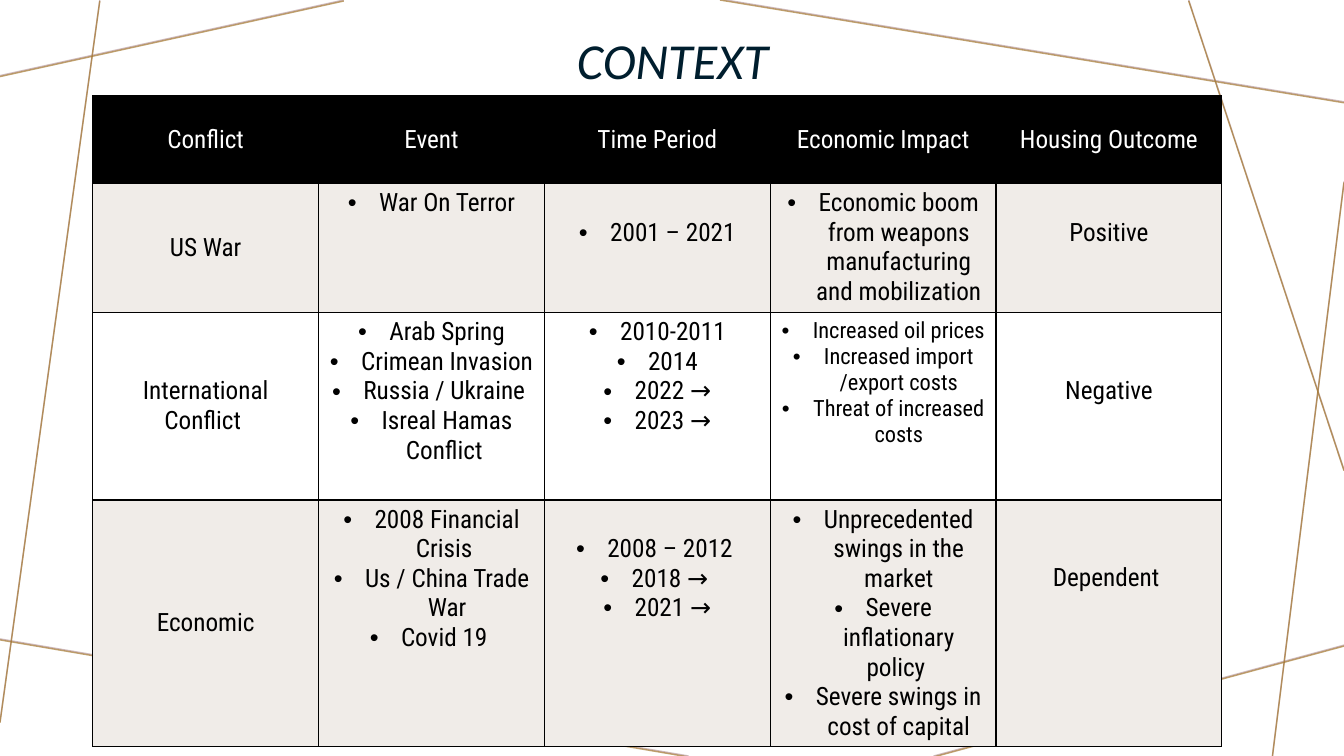
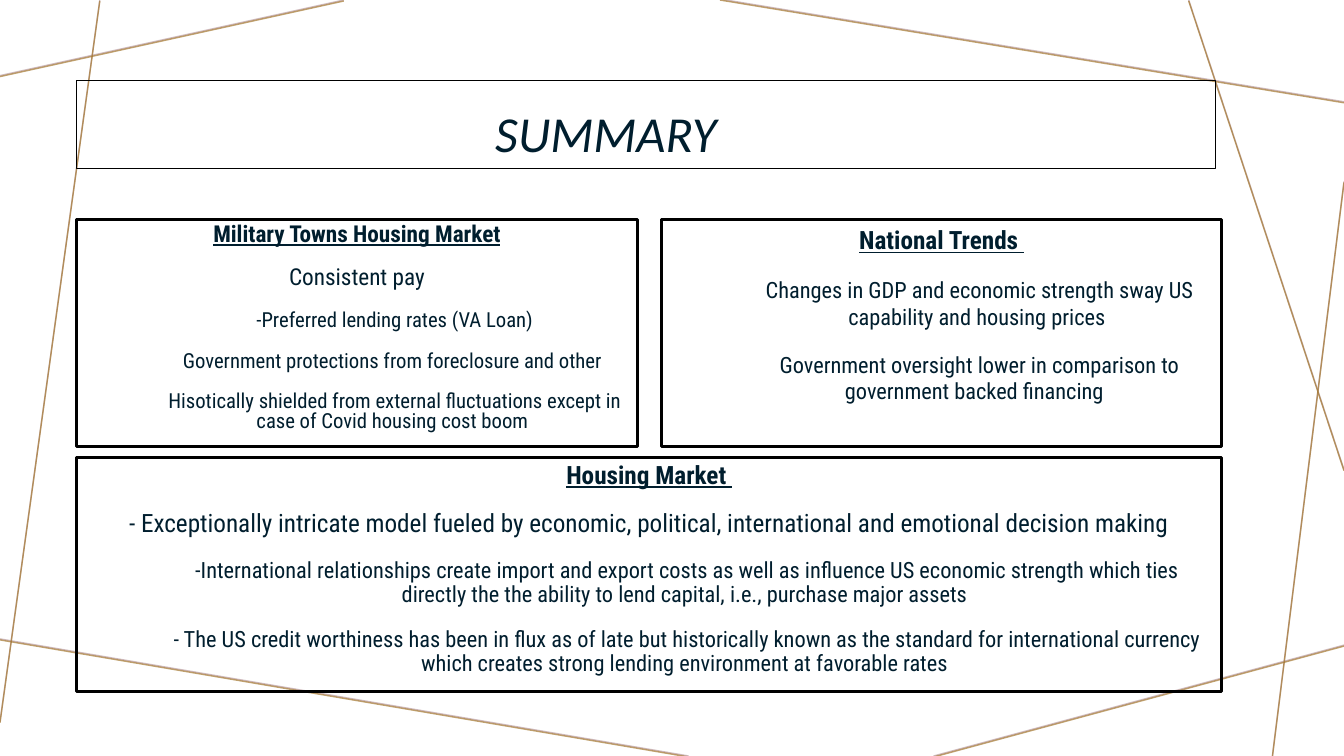
from collections import namedtuple
from dataclasses import dataclass

from lxml import etree
from pptx import Presentation
from pptx import util as u
from pptx.dml.color import RGBColor
from pptx.enum import shapes, text
from pptx.oxml.ns import qn

PX = 9144  # EMU in one px, 100 px to the inch
Box = namedtuple("Box", "left top width height")


@dataclass(frozen=True)
class Theme:
    ink: str = "001E2E"
    black: str = "000000"
    white: str = "FFFFFF"
    band: str = "F0ECE8"
    rose: str = "BA9CA0"
    gold: str = "A57931"
    title_font: str = "Calibri"
    body_font: str = "Roboto Condensed"
    title_size: float = 36
    body_size: float = 18
    small_size: float = 16
    tight_size: float = 16.6
    tight_small_size: float = 14.8
    line_height: int = 29
    hang: int = 31
    deep: int = 75


T = Theme()

RAYS = [
    (341, 0, 0, 75), (99, 0, 0, 716), (683, 750, -5, 633),
    (1333, 640, 926, 750), (1333, 180, 1262, 750),
    (1333, 466, 1179, 0), (1333, 101, 714, -1),
]

HEADINGS = ["Conflict", "Event", "Time Period", "Economic Impact", "Housing Outcome"]
# Each cell: lines, bulleted, blank lines above, size
Cell = namedtuple("Cell", "lines bulleted drop size", defaults=(True, 0, T.body_size))
CONFLICTS = [
    ("US War",
     Cell(["War On Terror"]),
     Cell(["2001 – 2021"], drop=1),
     Cell(["Economic boom from weapons manufacturing and mobilization"]),
     Cell(["Positive"], False, 1)),
    ("International Conflict ",
     Cell(["Arab Spring", "Crimean Invasion", "Russia / Ukraine ",
           "Isreal Hamas Conflict "]),
     Cell(["2010-2011", "2014", "2022 →", "2023 →"]),
     Cell(["Increased oil prices", "Increased import /export costs",
           "Threat of increased costs"], size=T.small_size),
     Cell(["Negative"], False, 2)),
    ("Economic",
     Cell(["2008 Financial Crisis ", "Us / China Trade War", "Covid 19 "]),
     Cell(["2008 – 2012 ", "2018 → ", "2021 →"], drop=1),
     Cell(["Unprecedented swings in the market", "Severe inflationary policy ",
           "Severe swings in cost of capital"]),
     Cell(["Dependent "], False, 2)),
]
ROW_HEIGHTS = [87, 128, 186, 245]

# Each panel: heading, lead lines, detail lines
MILITARY = ("Military Towns Housing Market", ["Consistent pay"], [
    "-Preferred lending rates (VA Loan)",
    "Government protections from foreclosure and other ",
    "Hisotically shielded from external fluctuations except in case of Covid "
    "housing cost boom ",
])
NATIONAL = ("National Trends ", [], [
    "Changes in GDP and economic strength sway US capability and housing prices ",
    "Government oversight lower in comparison to government backed financing  ",
])
HOUSING = ("Housing Market ", [
    "- Exceptionally intricate model fueled by economic, political, international "
    "and emotional decision making",
], [
    "-International relationships create import and export costs as well as influence "
    "US economic strength which ties directly the the ability to lend capital, i.e., "
    "purchase major assets ",
    "- The US credit worthiness has been in flux as of late but historically known as "
    "the standard for international currency which creates strong lending environment "
    "at favorable rates ",
])


def rgb(color):
    return RGBColor.from_string(color)


def emu(*lengths):
    return [u.Emu(n * PX) for n in lengths]


def add_text(p, words, size, color=T.ink, font=T.body_font, **style):
    """Centre a paragraph and add one run; style holds bold, italic, underline."""
    p.alignment = text.PP_ALIGN.CENTER
    r = p.add_run()
    r.text = words
    r.font.size, r.font.name = u.Pt(size), font
    r.font.color.rgb = rgb(color)
    for name, value in style.items():
        setattr(r.font, name, value)


def next_paragraph(tf, index):
    return tf.paragraphs[0] if index == 0 else tf.add_paragraph()


def set_indent(p, left, first=0):
    pPr = p._p.get_or_add_pPr()
    pPr.set("marL", str(left * PX))
    pPr.set("indent", str(first * PX))
    return pPr


def add_bullet(p):
    pPr = set_indent(p, T.hang, -T.hang)
    etree.SubElement(pPr, qn("a:buFont")).set("typeface", "Arial")
    etree.SubElement(pPr, qn("a:buChar")).set("char", "•")


def move_rays_to_master(prs, s):
    """Draw the crossing rays with a slide's shapes, then hang them on the master."""
    tree = prs.slide_master.element.cSld.spTree
    rays = [(color, drop, ray) for color, drop in ((T.rose, 0), (T.gold, 1))
            for ray in RAYS]
    for i, (color, drop, (x1, y1, x2, y2)) in enumerate(rays):
        ray = s.shapes.add_connector(shapes.MSO_CONNECTOR.STRAIGHT,
                                     *emu(x1, y1 + drop, x2, y2 + drop))
        ray.line.width = u.Pt(1)
        ray.line.color.rgb = rgb(color)
        spPr = ray.element.spPr
        for clr in spPr.iter(qn("a:srgbClr")):
            etree.SubElement(clr, qn("a:alpha")).set("val", "70000")
        etree.SubElement(spPr, qn("a:effectLst"))
        ray.element.nvCxnSpPr.cNvPr.id = 100 + i
        tree.insert(2 + i, ray.element)


def set_title(s, box, words, right_inset=10):
    title = s.shapes.title
    title.left, title.top, title.width, title.height = emu(*box)
    tf = title.text_frame
    tf.word_wrap = True
    tf.auto_size = text.MSO_AUTO_SIZE.NONE
    tf.vertical_anchor = text.MSO_ANCHOR.BOTTOM
    tf.margin_right, = emu(right_inset)
    p = tf.paragraphs[0]
    p.line_spacing = 0.9
    add_text(p, words, T.title_size, font=T.title_font, italic=True)
    return title


def fill_cell(cell, content, fill, color, middle):
    tcPr = cell._tc.get_or_add_tcPr()
    for side in ("lnL", "lnR", "lnT", "lnB"):
        ln = etree.SubElement(tcPr, qn("a:" + side), w=str(u.Pt(1)))
        solid = etree.SubElement(ln, qn("a:solidFill"))
        etree.SubElement(solid, qn("a:srgbClr")).set("val", T.black)
    cell.fill.solid()
    cell.fill.fore_color.rgb = rgb(fill)
    cell.vertical_anchor = text.MSO_ANCHOR.MIDDLE if middle else text.MSO_ANCHOR.TOP
    cell.margin_top, = emu(5 + content.drop * T.line_height)
    for i, line in enumerate(content.lines):
        p = next_paragraph(cell.text_frame, i)
        add_text(p, line, content.size, color, bold=False)
        if content.bulleted:
            add_bullet(p)


def add_conflict_table(s, box):
    rows = [HEADINGS] + CONFLICTS
    table = s.shapes.add_table(len(rows), len(HEADINGS), *emu(*box)).table
    table.first_row = table.horz_banding = False
    for column in table.columns:
        column.width, = emu(box.width // len(HEADINGS))
    for i, row in enumerate(rows):
        table.rows[i].height, = emu(ROW_HEIGHTS[i])
        fill = T.black if i == 0 else T.band if i % 2 else T.white
        color = T.white if i == 0 else T.black
        for j, content in enumerate(row):
            label = isinstance(content, str)
            if label:
                content = Cell([content], False)
            fill_cell(table.cell(i, j), content, fill, color, middle=label)


def add_panel(s, box, content, spacing=1.0, size=T.body_size, small=T.small_size):
    panel = s.shapes.add_shape(shapes.MSO_SHAPE.RECTANGLE, *emu(*box))
    panel.shadow.inherit = False
    panel.fill.background()
    panel.line.color.rgb = rgb(T.black)
    panel.line.width = u.Pt(2.25)
    tf = panel.text_frame
    tf.word_wrap = True
    tf.vertical_anchor = text.MSO_ANCHOR.TOP
    heading, leads, details = content
    for i, line in enumerate([heading] + leads + details):
        p = next_paragraph(tf, i)
        p.line_spacing = spacing
        p.space_before, p.space_after = u.Pt(10), u.Pt(5)
        if i == 0:
            add_text(p, line, size, bold=True, underline=True)
        elif i <= len(leads):
            set_indent(p, T.hang, -T.hang)
            add_text(p, line, size)
        else:
            p.level = 1
            set_indent(p, T.deep)
            add_text(p, line, small)


def build_context(s):
    set_title(s, Box(102, 26, 1130, 69), "CONTEXT")
    add_conflict_table(s, Box(92, 95, 1120, sum(ROW_HEIGHTS)))


def build_summary(s, area):
    title = set_title(s, Box(area.left, area.top, 1130, 87), "SUMMARY", right_inset=90)
    title.line.color.rgb = rgb(T.black)
    title.line.width = u.Pt(0.75)
    gap, top, height = 24, area.top + 138, 225
    half = (area.width - gap) // 2
    add_panel(s, Box(area.left + half + gap, top, half, height), NATIONAL)
    add_panel(s, Box(area.left, top, half, height), MILITARY, 0.8,
              T.tight_size, T.tight_small_size)
    lower = top + height + 11
    add_panel(s, Box(area.left, lower, area.width, area.top + area.height - lower),
              HOUSING, 0.9)


def main():
    prs = Presentation()
    prs.slide_width, prs.slide_height = emu(1333, 750)
    title_only = prs.slide_layouts[5]
    context, summary = (prs.slides.add_slide(title_only) for _ in range(2))
    move_rays_to_master(prs, context)
    build_context(context)
    build_summary(summary, Box(76, 80, 1136, 606))
    prs.save("out.pptx")


if __name__ == "__main__":
    main()
